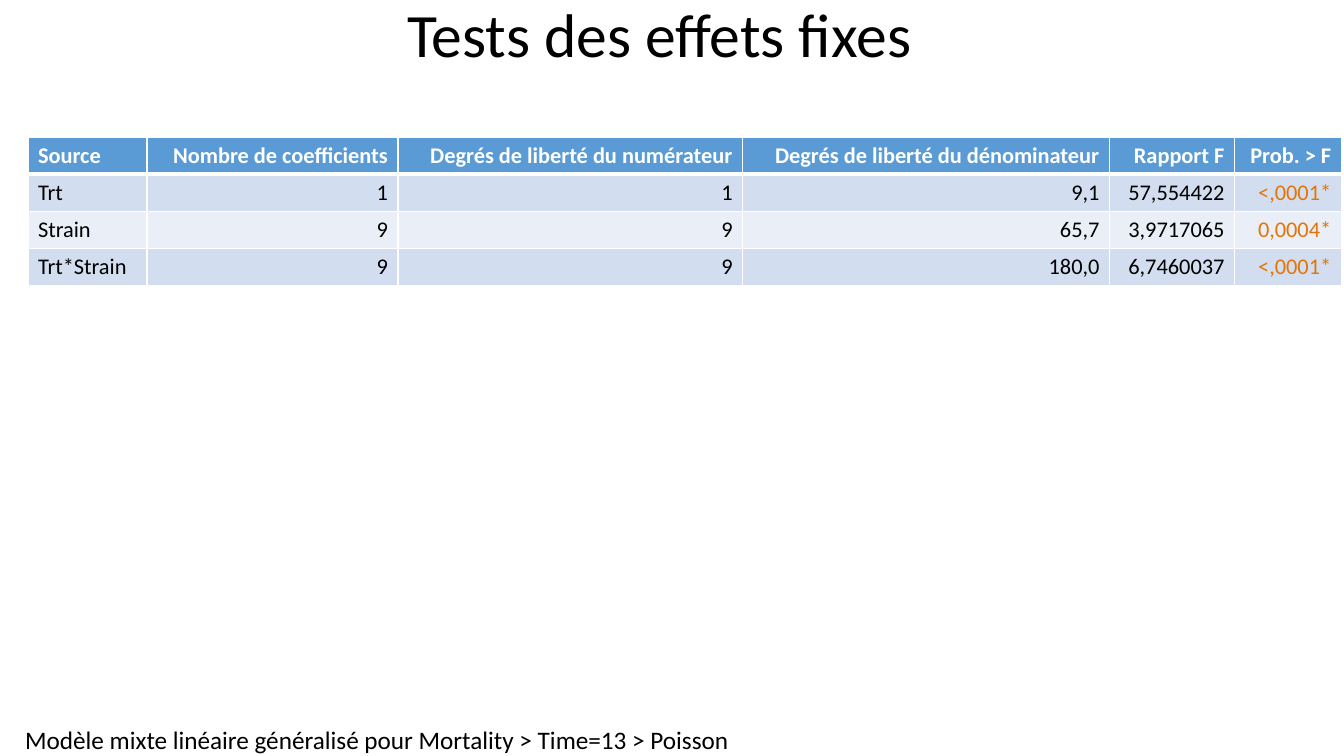
from dataclasses import dataclass

from lxml import etree
from pptx import Presentation
from pptx import util as u
from pptx.dml.color import RGBColor
from pptx.enum import text
from pptx.oxml.ns import qn

TITLE = "Tests des effets fixes"
MODEL_NOTE = "Modèle mixte linéaire généralisé pour Mortality > Time=13 > Poisson"
HEADER = ["Source", "Nombre de coefficients", "Degrés de liberté du numérateur",
          "Degrés de liberté du dénominateur", "Rapport F", "Prob. > F"]
EFFECTS = [
    ["Trt", "1", "1", "9,1", "57,554422", "<,0001*"],
    ["Strain", "9", "9", "65,7", "3,9717065", "0,0004*"],
    ["Trt*Strain", "9", "9", "180,0", "6,7460037", "<,0001*"],
]
COL_WIDTHS = [85, 179.3, 246.2, 262.1, 89.3, 76.3]
ROW_HEIGHT = 26.5


@dataclass(frozen=True)
class Theme:
    font: str = "Calibri"
    title_size: float = 44
    note_size: float = 18
    table_size: float = 16
    text: str = "000000"
    white: str = "FFFFFF"
    header: str = "5B9BD5"
    bands: tuple = ("D2DEEF", "EAEFF7")
    significant: str = "E57406"


T = Theme()


def style(p, size, color, bold=False, align=text.PP_ALIGN.LEFT):
    p.alignment = align
    f = p.font
    f.name, f.size, f.bold = T.font, u.Pt(size), bold
    f.color.rgb = RGBColor.from_string(color)


def set_borders(cell, **widths):
    """Draw white borders; the keys are L, R, T and B, the values points."""
    tcPr = cell._tc.get_or_add_tcPr()
    for i, (side, width) in enumerate(widths.items()):
        ln = etree.Element(qn(f"a:ln{side}"), w=str(u.Pt(width)))
        fill = etree.SubElement(ln, qn("a:solidFill"))
        etree.SubElement(fill, qn("a:srgbClr"), val=T.white)
        tcPr.insert(i, ln)


def add_title(s):
    sp = s.shapes.title
    sp.left, sp.top, sp.width, sp.height = 0, 0, u.Pt(942), u.Pt(54)
    tf = sp.text_frame
    tf.text = TITLE
    tf.vertical_anchor = text.MSO_ANCHOR.MIDDLE
    p = tf.paragraphs[0]
    p.line_spacing = 0.9
    style(p, T.title_size, T.text, align=text.PP_ALIGN.CENTER)


def add_effects_table(s):
    rows = [HEADER] + EFFECTS
    frame = s.shapes.add_table(len(rows), len(HEADER), u.Pt(20), u.Pt(98),
                               u.Pt(sum(COL_WIDTHS)), u.Pt(ROW_HEIGHT * len(rows)))
    table = frame.table
    for col, width in zip(table.columns, COL_WIDTHS):
        col.width = u.Pt(width)
    last = len(HEADER) - 1
    for i, row in enumerate(rows):
        table.rows[i].height = u.Pt(ROW_HEIGHT)
        is_header = i == 0
        fill = T.header if is_header else T.bands[(i - 1) % 2]
        for j, value in enumerate(row):
            cell = table.cell(i, j)
            cell.text = value
            cell.fill.solid()
            cell.fill.fore_color.rgb = RGBColor.from_string(fill)
            color = T.white if is_header else T.significant if j == last else T.text
            align = text.PP_ALIGN.RIGHT if j else text.PP_ALIGN.LEFT
            style(cell.text_frame.paragraphs[0], T.table_size, color, is_header, align)
            set_borders(cell, L=1, R=1, T=3 if i == 1 else 1, B=3 if is_header else 1)


def add_model_note(s):
    sp = s.shapes.add_textbox(u.Pt(18), u.Pt(517.7), u.Pt(504), u.Pt(22.3))
    tf = sp.text_frame
    tf.margin_left = tf.margin_right = tf.margin_top = tf.margin_bottom = 0
    tf.word_wrap = False
    tf.auto_size = text.MSO_AUTO_SIZE.SHAPE_TO_FIT_TEXT
    tf.text = MODEL_NOTE
    style(tf.paragraphs[0], T.note_size, T.text)


def main():
    prs = Presentation()
    prs.slide_width, prs.slide_height = u.Pt(960), u.Pt(540)
    s = prs.slides.add_slide(prs.slide_layouts[5])
    add_model_note(s)
    add_title(s)
    add_effects_table(s)
    prs.save("out.pptx")


if __name__ == "__main__":
    main()
